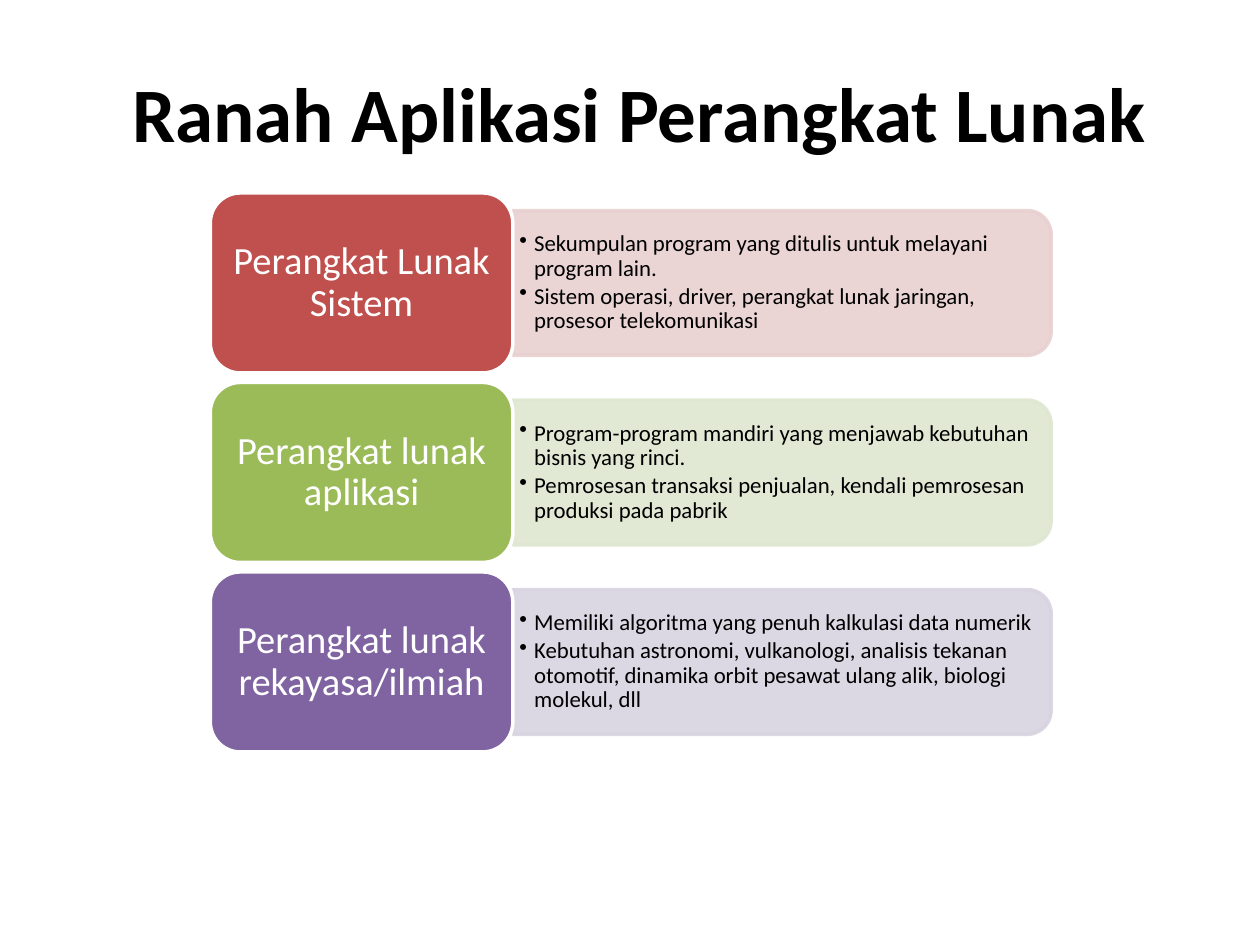
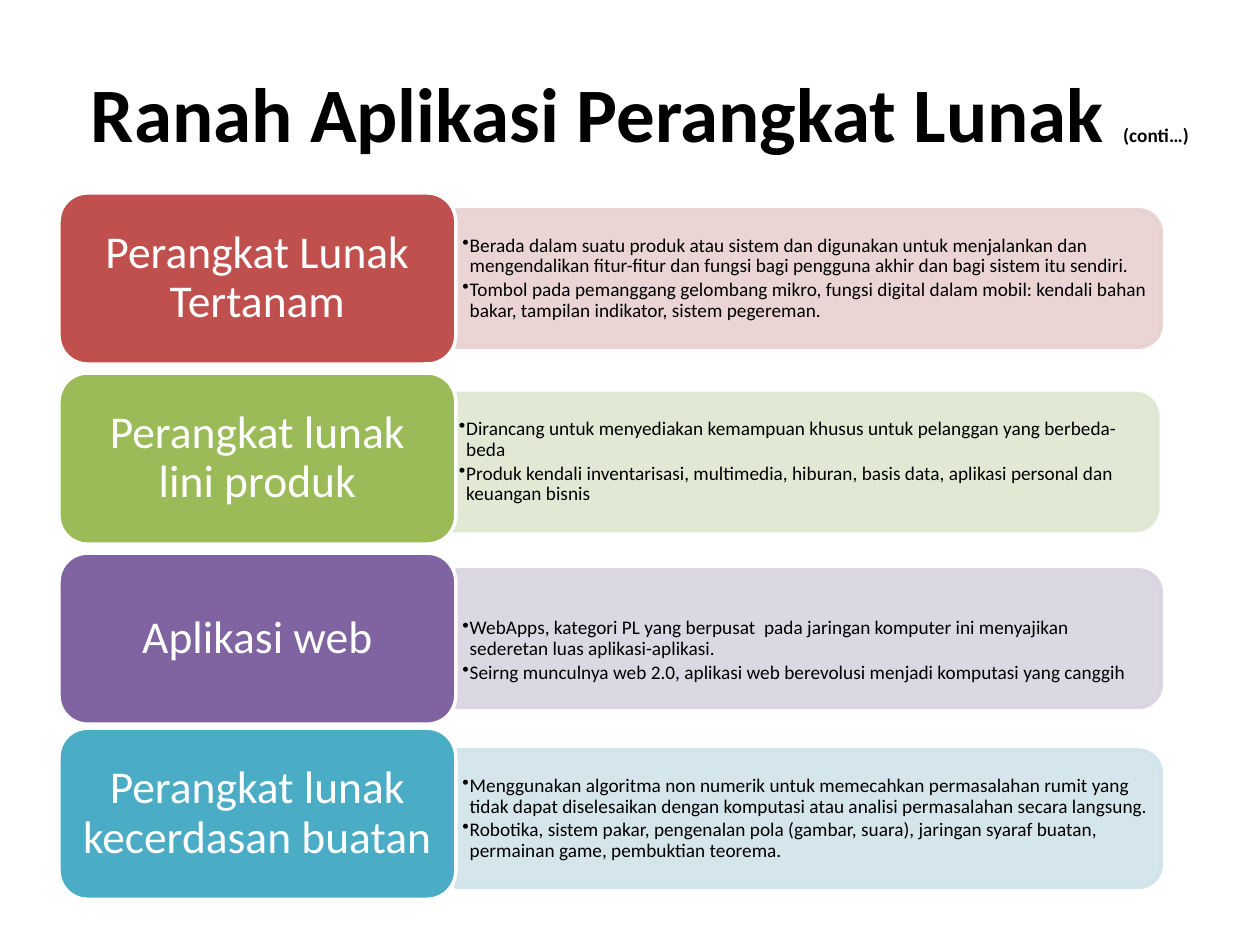
from pptx import Presentation
from pptx.dml.color import RGBColor
from pptx.enum.shapes import MSO_SHAPE as Shape
from pptx.enum.text import MSO_ANCHOR as Anchor, PP_ALIGN as Align
from pptx.oxml.ns import qn
from pptx.util import Cm, Pt
from lxml.etree import SubElement as Sub

BLACK = RGBColor(0x00, 0x00, 0x00)
WHITE = RGBColor(0xFF, 0xFF, 0xFF)
RED = RGBColor(0xC0, 0x50, 0x4D)
GREEN = RGBColor(0x9B, 0xBB, 0x59)
PURPLE = RGBColor(0x80, 0x64, 0xA2)
BLUE = RGBColor(0x4B, 0xAC, 0xC6)
PINK = RGBColor(0xE8, 0xD0, 0xD0)
LIME = RGBColor(0xDE, 0xE7, 0xD1)
LILAC = RGBColor(0xD8, 0xD3, 0xE0)
SKY = RGBColor(0xD0, 0xE3, 0xEA)

FACE = "Calibri"
TITLE = "Ranah Aplikasi Perangkat Lunak"
TOP = 3.89
HUES = [(RED, PINK), (GREEN, LIME), (PURPLE, LILAC), (BLUE, SKY)]

DOMAINS = [
    ("Perangkat Lunak Sistem", [
        "Sekumpulan program yang ditulis untuk melayani program lain.",
        "Sistem operasi, driver, perangkat lunak jaringan, prosesor telekomunikasi"]),
    ("Perangkat lunak aplikasi", [
        "Program-program mandiri yang menjawab kebutuhan bisnis yang rinci.",
        "Pemrosesan transaksi penjualan, kendali pemrosesan produksi pada pabrik"]),
    ("Perangkat lunak rekayasa/ilmiah", [
        "Memiliki algoritma yang penuh kalkulasi data numerik",
        "Kebutuhan astronomi, vulkanologi, analisis tekanan otomotif, dinamika orbit "
        "pesawat ulang alik, biologi molekul, dll"]),
]
MORE = [
    ("Perangkat Lunak Tertanam", [
        "Berada dalam suatu produk atau sistem dan digunakan untuk menjalankan dan "
        "mengendalikan fitur-fitur dan fungsi bagi pengguna akhir dan bagi sistem itu sendiri.",
        "Tombol pada pemanggang gelombang mikro, fungsi digital dalam mobil: kendali bahan "
        "bakar, tampilan indikator, sistem pegereman."]),
    ("Perangkat lunak lini produk", [
        "Dirancang untuk menyediakan kemampuan khusus untuk pelanggan yang berbeda-beda",
        "Produk kendali inventarisasi, multimedia, hiburan, basis data, aplikasi personal dan "
        "keuangan bisnis"]),
    ("Aplikasi web", [
        "WebApps, kategori PL yang berpusat  pada jaringan komputer ini menyajikan sederetan "
        "luas aplikasi-aplikasi.",
        "Seirng munculnya web 2.0, aplikasi web berevolusi menjadi komputasi yang canggih"]),
    ("Perangkat lunak kecerdasan buatan", [
        "Menggunakan algoritma non numerik untuk memecahkan permasalahan rumit yang tidak dapat "
        "diselesaikan dengan komputasi atau analisi permasalahan secara langsung.",
        "Robotika, sistem pakar, pengenalan pola (gambar, suara), jaringan syaraf buatan, "
        "permainan game, pembuktian teorema."]),
]


class Deck:
    """Hold the shared style and the current slide."""

    def __init__(self):
        self.prs = Presentation()
        self.prs.slide_width, self.prs.slide_height = Cm(25.4), Cm(19.05)
        self.slide = None

    def page(self, note=""):
        self.slide = self.prs.slides.add_slide(self.prs.slide_layouts[6])
        para = self.frame(1.19, 1.19, 23.42, 2.13).paragraphs[0]
        self.style(para, 44, BLACK, Align.CENTER)
        para.font.bold = True
        para.add_run().text = TITLE + (" " if note else "")
        if note:
            run = para.add_run()
            run.text = note
            run.font.size = Pt(11)

    def frame(self, x, y, wide, high):
        frame = self.slide.shapes.add_textbox(Cm(x), Cm(y), Cm(wide), Cm(high)).text_frame
        frame.word_wrap = True
        return frame

    def style(self, para, size, color, align=Align.LEFT):
        para.alignment = align
        para.font.name, para.font.size = FACE, Pt(size)
        para.font.color.rgb = color

    def inset(self, frame, side, edge):
        frame.word_wrap = True
        frame.vertical_anchor = Anchor.MIDDLE
        frame.margin_left = frame.margin_right = Cm(side)
        frame.margin_top = frame.margin_bottom = Cm(edge)

    def block(self, kind, x, y, wide, high, fill, line):
        shape = self.slide.shapes.add_shape(kind, Cm(x), Cm(y), Cm(wide), Cm(high))
        shape.shadow.inherit = False
        shape.fill.solid()
        shape.fill.fore_color.rgb = fill
        shape.line.color.rgb = line
        shape.line.width = Pt(2)
        return shape

    def label(self, text, x, y, wide, high, size, side, color):
        shape = self.block(Shape.ROUNDED_RECTANGLE, x, y, wide, high, color, WHITE)
        self.inset(shape.text_frame, side, 0.13)
        para = shape.text_frame.paragraphs[0]
        para.text = text
        para.line_spacing = 0.9
        self.style(para, size, WHITE, Align.CENTER)

    def panel(self, x, mid, wide, high, tint):
        shape = self.block(Shape.ROUND_2_SAME_RECTANGLE, x + (wide - high) / 2,
                           mid - wide / 2, high, wide, tint, tint)
        shape.rotation = 90
        for color in shape._element.spPr.iter(qn("a:srgbClr")):
            Sub(color, qn("a:alpha"), val="90000")

    def points(self, texts, x, mid, wide, high, size, indent, drop):
        frame = self.frame(x, mid - high / 2, wide, high)
        self.inset(frame, 0.13, 0.06)
        frame.margin_top = Cm(0.06 + drop)
        for i, text in enumerate(texts):
            para = frame.paragraphs[0] if i == 0 else frame.add_paragraph()
            para.text = text
            para.line_spacing = 0.9
            para.space_after = Pt(round(0.15 * size, 1))
            self.style(para, size, BLACK)
            props = para._p.get_or_add_pPr()
            props.set("marL", str(Cm(indent)))
            props.set("indent", str(-Cm(indent)))
            mark = Sub(props, qn("a:buChar"), char="•")
            props.find(qn("a:defRPr")).addprevious(mark)

    def rows(self, items, x, wide, high, pitch, span, depth, big, small, side, indent,
             nudge={}, lift={}, drop={}):
        for i, ((name, texts), (color, tint)) in enumerate(zip(items, HUES)):
            y = TOP + i * pitch
            shift = nudge.get(i, 0)
            left, mid = x + wide - shift, y + high / 2 + shift
            self.panel(left, mid, span, depth, tint)
            self.points(texts, left, mid, span - 0.13, depth - 0.3, small, indent,
                        drop.get(i, 0))
            self.label(name, x, y - lift.get(i, 0), wide, high, big, side, color)


def main():
    deck = Deck()
    deck.page()
    deck.rows(DOMAINS, x=4.24, wide=6.1, high=3.63, pitch=3.82, span=10.85, depth=2.92,
              big=22, small=13, side=0.23, indent=0.3)
    deck.page("(conti…)")
    deck.rows(MORE, x=1.19, wide=8, high=3.45, pitch=3.63, span=14.22, depth=2.77,
              big=26, small=11, side=0.28, indent=0.15,
              nudge={1: 0.07}, lift={3: 0.1}, drop={2: 0.49})
    deck.prs.save("out.pptx")


if __name__ == "__main__":
    main()
